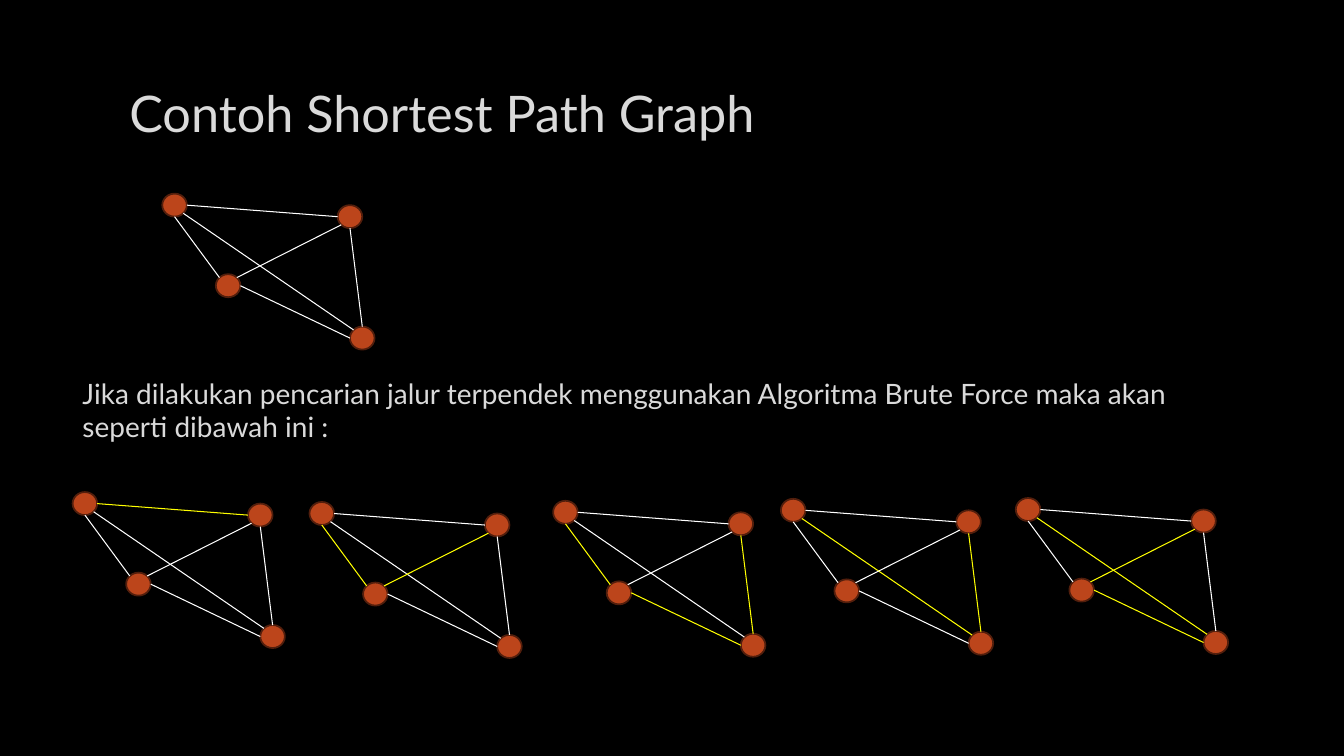
import math

from lxml import etree
from pptx import Presentation
from pptx.dml.color import RGBColor
from pptx.enum.shapes import MSO_CONNECTOR, MSO_SHAPE
from pptx.enum.text import MSO_ANCHOR, MSO_AUTO_SIZE, PP_ALIGN
from pptx.oxml import parse_xml
from pptx.oxml.ns import nsdecls, qn
from pptx.util import Cm, Pt

STRAIGHT = MSO_CONNECTOR.STRAIGHT
OVAL = MSO_SHAPE.OVAL
MIDDLE = MSO_ANCHOR.MIDDLE
NO_AUTOFIT = MSO_AUTO_SIZE.NONE
LEFT, CENTER = PP_ALIGN.LEFT, PP_ALIGN.CENTER

FONT = "Lato"
BLACK, TEXT_GRAY, OUTLINE_GRAY = "000000", "DADADA", "404040"
NODE_FILL, NODE_LINE = "BC451B", "521E0C"
WHITE, YELLOW = "FFFFFF", "FFFF00"

# Lengths in centimetres; node places are relative to node A
NODE_WIDTH, NODE_HEIGHT = 0.62, 0.58
NODES = {"A": (0, 0), "B": (4.42, 0.29), "C": (4.73, 3.35), "D": (1.35, 2.03)}

# Angles on the ellipse, clockwise from the right
RIGHT_SIDE, LOWER_RIGHT, BOTTOM, LOWER_LEFT = 0, 45, 90, 135
LEFT_SIDE, UPPER_LEFT, TOP, UPPER_RIGHT = 180, 225, 270, 315
EDGES = {
    "AB": (RIGHT_SIDE, LEFT_SIDE),
    "AC": (LOWER_RIGHT, UPPER_LEFT),
    "AD": (BOTTOM, UPPER_LEFT),
    "DC": (RIGHT_SIDE, LEFT_SIDE),
    "BC": (BOTTOM, TOP),
    "DB": (UPPER_RIGHT, LOWER_LEFT),
}

EXAMPLE_GRAPH = (4.09, 4.88)
SEARCH_STEPS = [
    (1.83, 12.4, ["AB"]),
    (7.8, 12.65, ["AD", "DB"]),
    (13.94, 12.62, ["AD", "DC", "BC"]),
    (19.68, 12.57, ["AC", "BC"]),
    (25.6, 12.55, ["AC", "DC", "DB"]),
]


def color(hex_string):
    return RGBColor.from_string(hex_string)


def write_text(shape, text, size, align=LEFT):
    """Fill a shape with one paragraph of faintly outlined text."""
    frame = shape.text_frame
    frame.word_wrap = True
    frame.auto_size = NO_AUTOFIT
    frame.vertical_anchor = MIDDLE
    paragraph = frame.paragraphs[0]
    paragraph.alignment = align
    run = paragraph.add_run()
    run.text = text
    run.font.name = FONT
    run.font.size = Pt(size)
    run.font.color.rgb = color(TEXT_GRAY)
    outline = parse_xml(
        f'<a:ln {nsdecls("a")} w="{int(Pt(0.75))}"><a:solidFill>'
        f'<a:srgbClr val="{OUTLINE_GRAY}"><a:alpha val="10000"/></a:srgbClr>'
        '</a:solidFill><a:prstDash val="solid"/></a:ln>')
    run._r.get_or_add_rPr().insert(0, outline)


def add_title(slide, left, top, width, height):
    title = slide.shapes.title
    title.left, title.top = Cm(left), Cm(top)
    title.width, title.height = Cm(width), Cm(height)
    write_text(title, "Contoh Shortest Path Graph", 36, align=CENTER)


def add_explanation(slide, left, top, width, height):
    box = slide.shapes.add_textbox(Cm(left), Cm(top), Cm(width), Cm(height))
    write_text(box, "Jika dilakukan pencarian jalur terpendek menggunakan "
               "Algoritma Brute Force maka akan seperti dibawah ini :", 20)


def rim_point(left, top, node, angle):
    """Return the point at an angle on the rim of a graph's node."""
    x, y = NODES[node]
    radians = math.radians(angle)
    return (Cm(left + x + NODE_WIDTH / 2 * (1 + math.cos(radians))),
            Cm(top + y + NODE_HEIGHT / 2 * (1 + math.sin(radians))))


def add_graph(slide, left, top, chosen_edges=()):
    """Draw the four-node graph with the chosen edges in yellow."""
    for x, y in NODES.values():
        node = slide.shapes.add_shape(
            OVAL, Cm(left + x), Cm(top + y), Cm(NODE_WIDTH), Cm(NODE_HEIGHT))
        node.shadow.inherit = False
        node.fill.solid()
        node.fill.fore_color.rgb = color(NODE_FILL)
        node.line.color.rgb = color(NODE_LINE)
        node.line.width = Pt(1.25)
    for edge, (start_angle, end_angle) in EDGES.items():
        start, end = edge
        line = slide.shapes.add_connector(
            STRAIGHT, *rim_point(left, top, start, start_angle),
            *rim_point(left, top, end, end_angle))
        line.line.color.rgb = color(YELLOW if edge in chosen_edges else WHITE)
        line.line.width = Pt(0.75)
        etree.SubElement(line._element.spPr, qn("a:effectLst"))


def main():
    presentation = Presentation()
    presentation.slide_width, presentation.slide_height = Cm(33.87), Cm(19.05)
    slide = presentation.slides.add_slide(presentation.slide_layouts[5])
    slide.background.fill.solid()
    slide.background.fill.fore_color.rgb = color(BLACK)
    add_title(slide, 2.29, 2.06, 17.7, 1.55)
    add_graph(slide, *EXAMPLE_GRAPH)
    add_explanation(slide, 1.83, 9.55, 29.85, 1.55)
    for left, top, chosen_edges in SEARCH_STEPS:
        add_graph(slide, left, top, chosen_edges)
    presentation.save("out.pptx")


if __name__ == "__main__":
    main()
